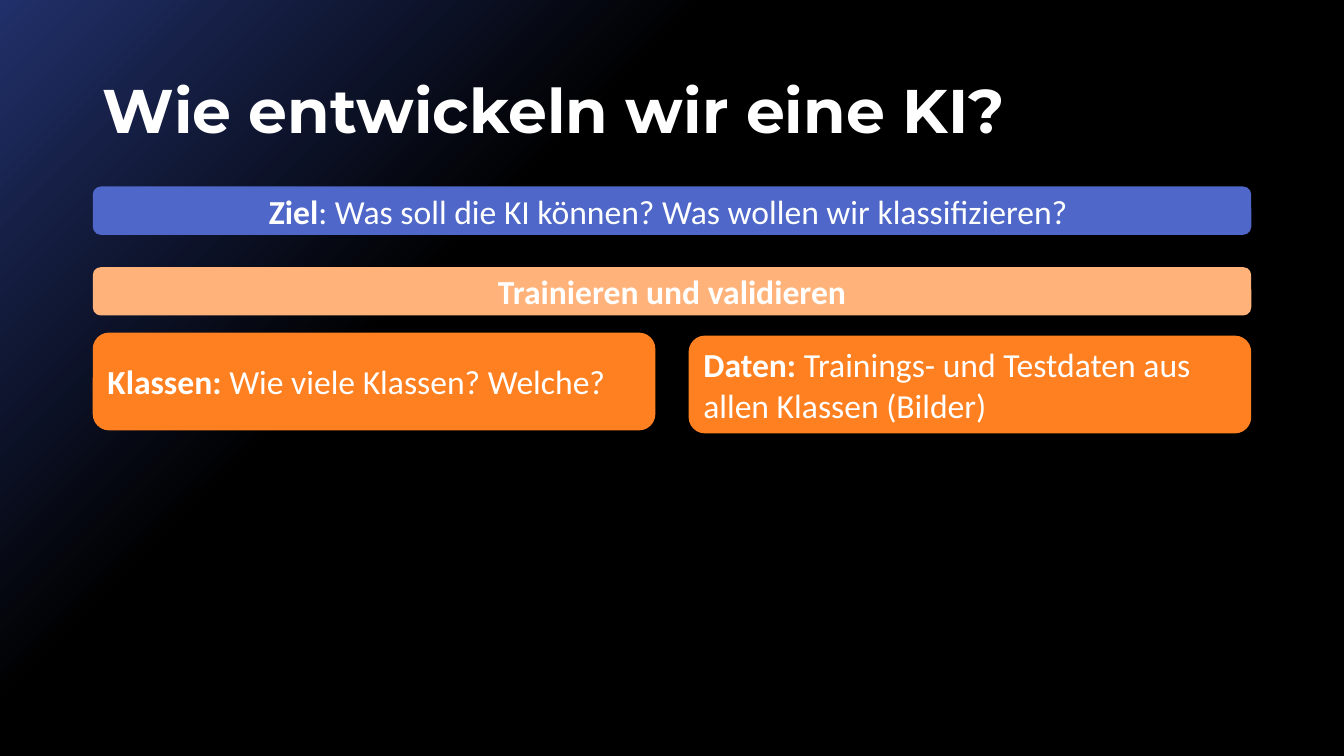
from pptx import Presentation
from pptx.dml.color import RGBColor
from pptx.enum.shapes import MSO_SHAPE as Shape
from pptx.enum.text import MSO_ANCHOR as Anchor, PP_ALIGN as Align
from pptx.util import Inches, Pt

WHITE = RGBColor(0xFF, 0xFF, 0xFF)
BLACK = RGBColor(0x00, 0x00, 0x00)
NAVY = RGBColor(0x21, 0x30, 0x6A)
BLUE = RGBColor(0x4E, 0x67, 0xC8)
ORANGE = RGBColor(0xFF, 0x80, 0x21)
PEACH = RGBColor(0xFF, 0xB3, 0x7A)

# Grid in inches: two columns between equal margins
WIDTH, HEIGHT = 13.33, 7.5
MARGIN, GUTTER = 0.92, 0.33
FULL = WIDTH - 2 * MARGIN
COLUMN = (FULL - GUTTER) / 2
SECOND = MARGIN + COLUMN + GUTTER
BAR, CARD = 0.48, 0.97


def paint_background(page):
    """Diagonal fade from navy in the top left corner to black."""
    fill = page.background.fill
    fill.gradient()
    fill.gradient_angle = 315
    for stop, color, position in zip(fill.gradient_stops, (NAVY, BLACK), (0, 0.34)):
        stop.color.rgb = color
        stop.position = position


def write(box, runs, font, size, align):
    """Fill a box with one paragraph of (text, bold) runs."""
    frame = box.text_frame
    frame.word_wrap = True
    frame.vertical_anchor = Anchor.MIDDLE
    para = frame.paragraphs[0]
    para.alignment = align
    for text, bold in runs:
        span = para.add_run()
        span.text = text
        look = {"name": font, "size": Pt(size), "bold": bold}
        for key, value in look.items():
            setattr(span.font, key, value)
        span.font.color.rgb = WHITE
    return para


def add_title(page, text):
    area = map(Inches, (MARGIN, 0.4, FULL, 1.45))
    box = page.shapes.add_textbox(*area)
    para = write(box, [(text, True)], "Montserrat", 44, Align.LEFT)
    para.line_spacing = 0.9


def add_panel(page, left, top, width, height, color, runs, align=Align.LEFT):
    area = map(Inches, (left, top, width, height))
    box = page.shapes.add_shape(Shape.ROUNDED_RECTANGLE, *area)
    box.shadow.inherit = False
    box.fill.solid()
    box.fill.fore_color.rgb = color
    box.line.fill.background()
    write(box, runs, "Calibri", 24, align)


def main():
    deck = Presentation()
    deck.slide_width, deck.slide_height = Inches(WIDTH), Inches(HEIGHT)
    page = deck.slides.add_slide(deck.slide_layouts[6])
    paint_background(page)
    add_title(page, "Wie entwickeln wir eine KI?")

    # Full-width bars
    goal = [("Ziel", True),
            (": Was soll die KI können? Was wollen wir klassifizieren? ", False)]
    training = [("Trainieren und validieren", True)]
    for top, color, runs in ((1.85, BLUE, goal), (2.65, PEACH, training)):
        add_panel(page, MARGIN, top, FULL, BAR, color, runs, Align.CENTER)

    # Cards, one per column
    classes = [("Klassen: ", True), ("Wie viele Klassen? Welche?", False)]
    data = [("Daten: ", True),
            ("Trainings- und Testdaten aus allen Klassen (Bilder)", False)]
    for left, top, runs in ((MARGIN, 3.3, classes), (SECOND, 3.33, data)):
        add_panel(page, left, top, COLUMN, CARD, ORANGE, runs)

    deck.save("out.pptx")


if __name__ == "__main__":
    main()
